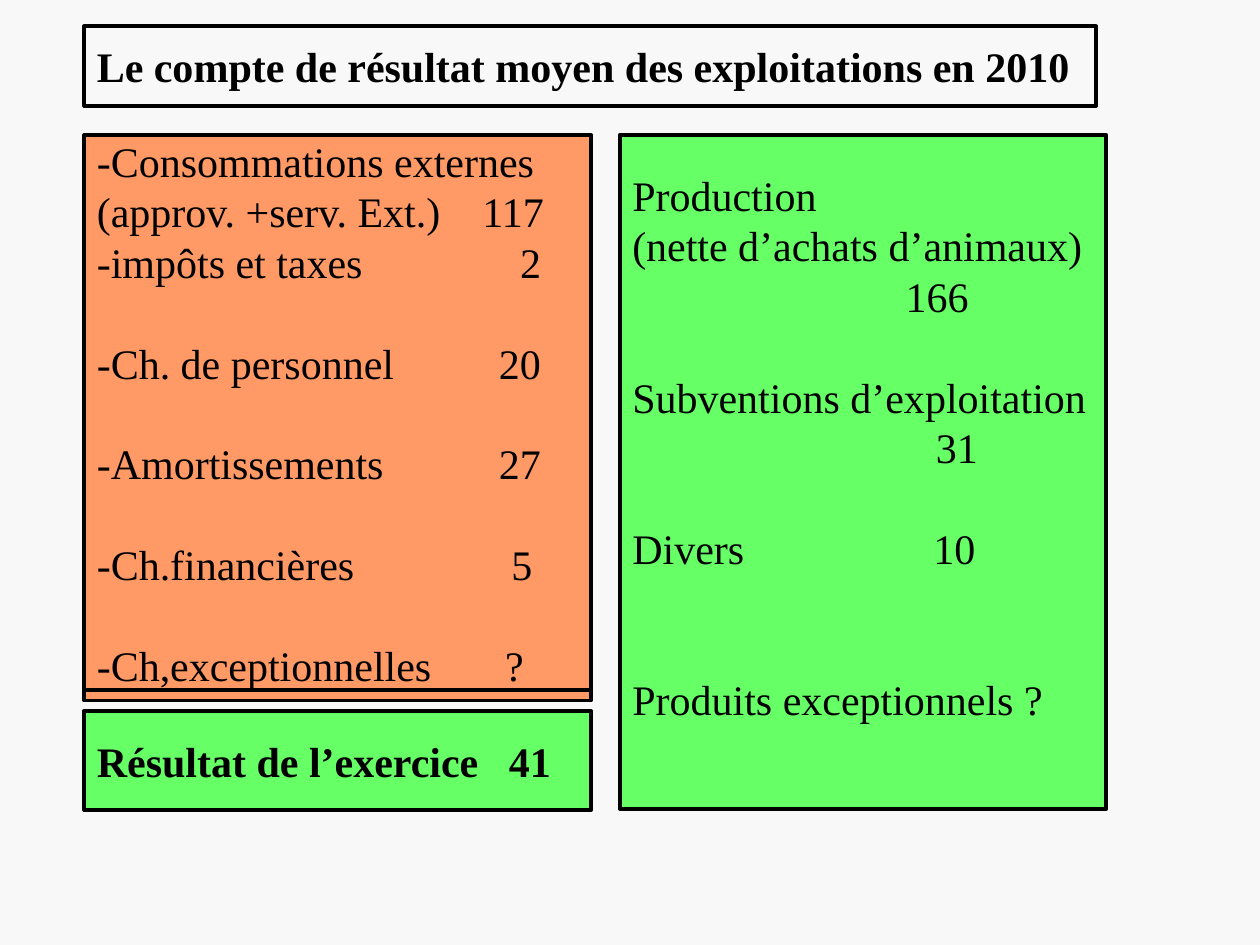
from typing import NamedTuple

from lxml import etree
from pptx import Presentation
from pptx.dml.color import RGBColor
from pptx.enum import shapes, text
from pptx.oxml import ns
from pptx.util import Inches, Pt

FONT, SIZE, LINE = "Times New Roman", 24, 28.8
BLACK, ORANGE, GREEN, PAPER = "000000", "FF9966", "66FF66", "F8F8F8"
LEFT, TOP, COL_W, COST_H = 0.67, 1.07, 4.02, 4.41


class Entry(NamedTuple):
    label: str
    amount: str = ""
    tab: float = 0  # start of the amount, inches from the text edge
    gap: int = 0  # empty lines above


class Panel(NamedTuple):
    left: float
    top: float
    width: float
    height: float
    fill: str = ""
    entries: tuple[Entry, ...] = ()
    bold: bool = False
    bottom_inset: float = 0.05


def rgb(value: str) -> RGBColor:
    return RGBColor.from_string(value)


def add_entry(p, entry: Entry, bold: bool) -> None:
    p.alignment = text.PP_ALIGN.LEFT
    p.line_spacing = Pt(LINE)
    if entry.gap:
        p.space_before = Pt(LINE * entry.gap)
    if entry.amount:
        tabs = etree.SubElement(p._p.get_or_add_pPr(), ns.qn("a:tabLst"))
        etree.SubElement(tabs, ns.qn("a:tab"), pos=str(Inches(entry.tab)), algn="l")
    p.add_run().text = entry.label + ("\t" + entry.amount if entry.amount else "")
    p.font.name, p.font.size, p.font.bold = FONT, Pt(SIZE), bold
    p.font.color.rgb = rgb(BLACK)


def add_panel(s, panel: Panel) -> None:
    box = (Inches(v) for v in panel[:4])
    sp = s.shapes.add_shape(shapes.MSO_SHAPE.RECTANGLE, *box)
    sp.shadow.inherit = False
    sp.line.color.rgb = rgb(BLACK)
    sp.line.width = Pt(2.25)
    if panel.fill:
        sp.fill.solid()
        sp.fill.fore_color.rgb = rgb(panel.fill)
    else:
        sp.fill.background()
    tf = sp.text_frame
    tf.word_wrap = True
    tf.vertical_anchor = text.MSO_ANCHOR.MIDDLE
    tf.margin_bottom = Inches(panel.bottom_inset)
    for i, entry in enumerate(panel.entries):
        add_entry(tf.add_paragraph() if i else tf.paragraphs[0], entry, panel.bold)


COSTS = (
    Entry("-Consommations externes"),
    Entry("(approv. +serv. Ext.)", "117", 3.06),
    Entry("-impôts et taxes", "2", 3.36),
    Entry("-Ch. de personnel", "20", 3.19, 1),
    Entry("-Amortissements", "27", 3.19, 1),
    Entry("-Ch.financières", "5", 3.29, 1),
    Entry("-Ch,exceptionnelles", "?", 3.24, 1),
)
INCOME = (
    Entry("Production"),
    Entry("(nette d’achats d’animaux)"),
    Entry("", "166", 2.17),
    Entry("Subventions d’exploitation", gap=1),
    Entry("", "31", 2.41),
    Entry("Divers", "10", 2.39, 1),
    Entry("Produits exceptionnels ?", gap=2),
)
TITLE = (Entry("Le compte de résultat moyen des exploitations en 2010"),)
RESULT = (Entry("Résultat de l’exercice", "41", 3.27),)

PANELS = (
    # Backing panel, showing below the costs
    Panel(LEFT, TOP + 0.08, COL_W, COST_H, ORANGE),
    # Income, set one line above centre
    Panel(4.92, TOP, 3.86, 5.35, GREEN, INCOME, bottom_inset=0.45),
    # Result, title and costs
    Panel(LEFT, 5.64, COL_W, 0.79, GREEN, RESULT, bold=True),
    Panel(LEFT, 0.21, 8.03, 0.63, "", TITLE, bold=True),
    Panel(LEFT, TOP, COL_W, COST_H, ORANGE, COSTS),
)


def main() -> None:
    prs = Presentation()
    prs.slide_width, prs.slide_height = Inches(10), Inches(7.5)
    s = prs.slides.add_slide(prs.slide_layouts[6])
    s.background.fill.solid()
    s.background.fill.fore_color.rgb = rgb(PAPER)
    for panel in PANELS:
        add_panel(s, panel)
    prs.save("out.pptx")


if __name__ == "__main__":
    main()
